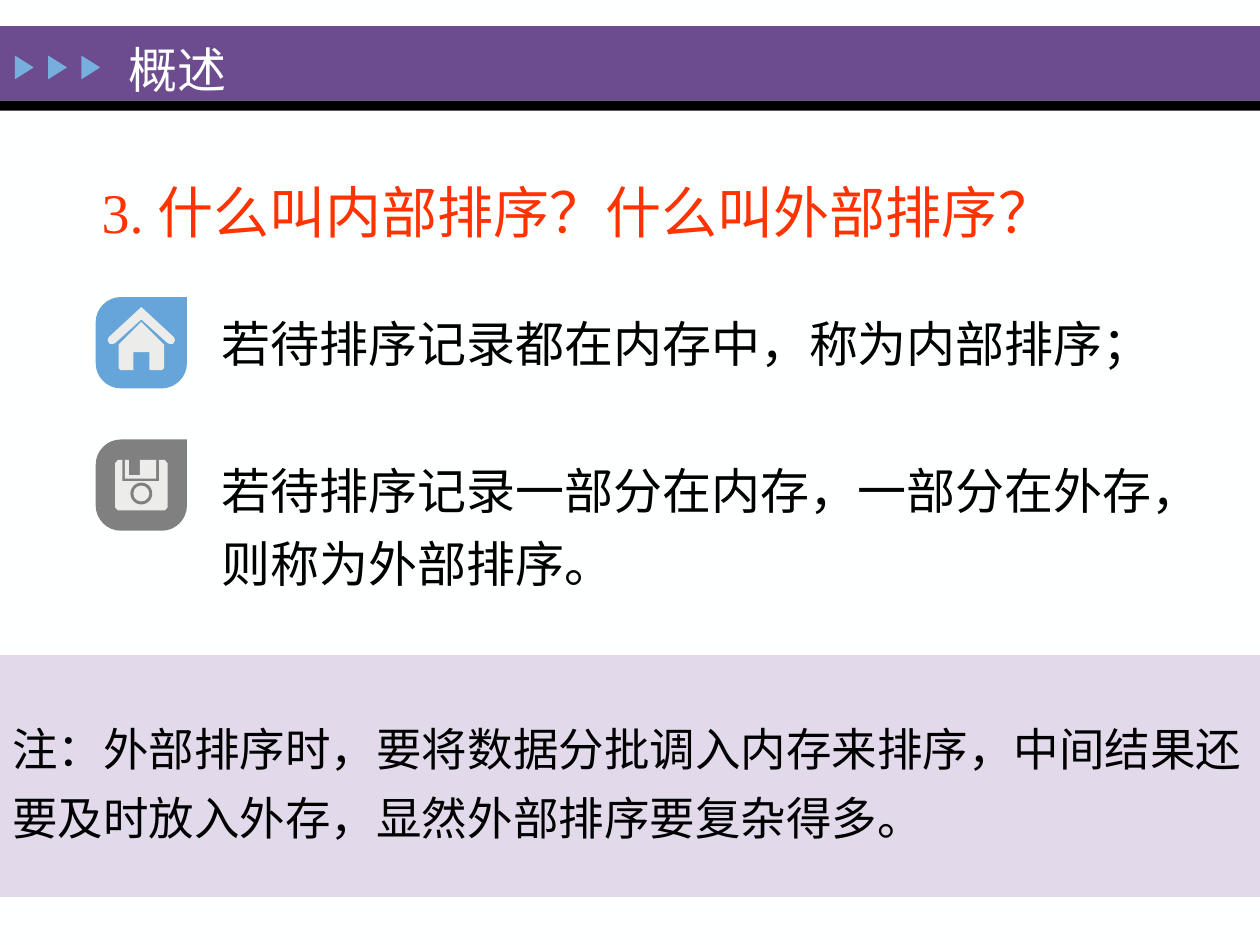
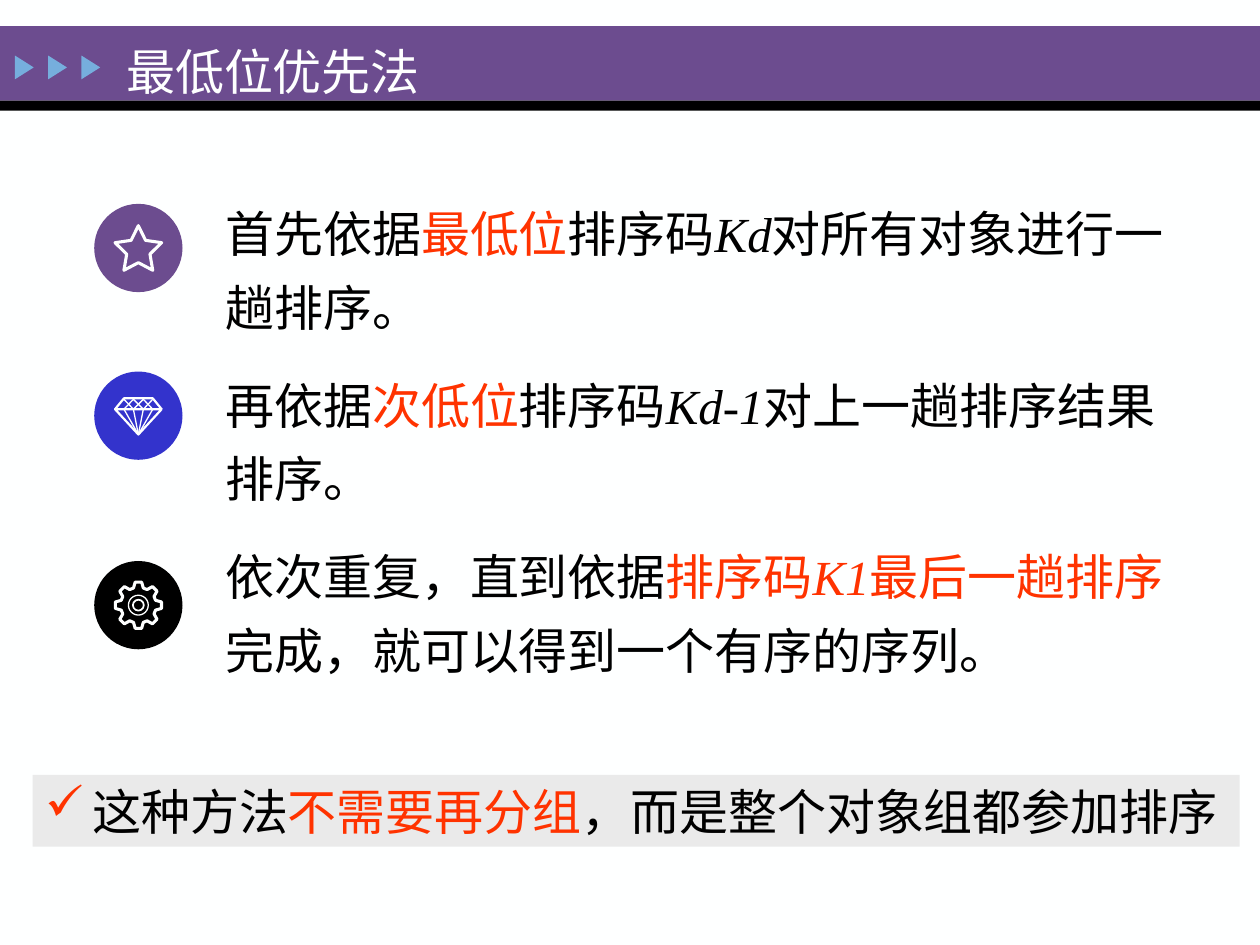
from math import cos, radians, sin

from lxml import etree
from pptx import Presentation
from pptx import util as u
from pptx.dml.color import RGBColor
from pptx.enum import shapes, text
from pptx.oxml.ns import qn

PURPLE = RGBColor(0x6C, 0x4C, 0x8F)
LILAC = RGBColor(0xE2, 0xD9, 0xEB)
SKY = RGBColor(0x76, 0xAE, 0xDD)
BLUE = RGBColor(0x65, 0xA5, 0xD9)
INDIGO = RGBColor(0x33, 0x33, 0xCC)
BLACK = RGBColor(0, 0, 0)
GREY = RGBColor(0x80, 0x80, 0x80)
SILVER = RGBColor(0xEA, 0xEA, 0xEA)
PALE = RGBColor(0xEC, 0xEC, 0xEB)
WHITE = RGBColor(0xFE, 0xFF, 0xFF)
RED = RGBColor(0xFF, 0x33, 0x00)
FONT = "Times New Roman"
WIDTH, HEIGHT = 25.4, 19.05
KIND = shapes.MSO_SHAPE

# Content: a span is (text, colour, italic); all places are in cm
OVERVIEW = {
    "title": ("概述", 2.34, 0.66, 1.0),
    "question": "3. 什么叫内部排序？什么叫外部排序？",
    "box": (4.22, 5.89, 19.94, 6.25),
    "gap": 42,
    "items": [
        [("若待排序记录都在内存中，称为内部排序；", BLACK, False)],
        [("若待排序记录一部分在内存，一部分在外存，则称为外部排序。", BLACK, False)],
    ],
    "note": "注：外部排序时，要将数据分批调入内存来排序，"
            "中间结果还要及时放入外存，显然外部排序要复杂得多。",
}
LOWEST_FIRST = {
    "title": ("最低位优先法", 2.29, 0.41, 1.25),
    "box": (4.29, 3.68, 19.74, 10.44),
    "gap": 14,
    "items": [
        [("首先依据", BLACK, False), ("最低位", RED, False), ("排序码", BLACK, False),
         ("Kd", BLACK, True), ("对所有对象进行一趟排序。", BLACK, False)],
        [("再依据", BLACK, False), ("次低位", RED, False), ("排序码", BLACK, False),
         ("Kd-1", BLACK, True), ("对上一趟排序结果排序。", BLACK, False)],
        [("依次重复，直到依据", BLACK, False), ("排序码", RED, False), ("K1", RED, True),
         ("最后一趟排序", RED, False), ("完成，就可以得到一个有序的序列。", BLACK, False)],
    ],
    "conclusion": [("这种方法", BLACK, False), ("不需要再分组", RED, False),
                   ("，而是整个对象组都参加排序", BLACK, False)],
}

# Icon outlines, relative to the icon centre; symmetric ones give the right half
ROOF = [(0, -0.72), (0.66, -0.11), (0.68, -0.05), (0.64, 0.02), (0.58, 0.03), (0.52, 0), (0, -0.47)]
HOUSE = [(0, -0.42), (0.46, 0.04), (0.46, 0.51), (0.42, 0.55), (0.16, 0.55), (0.16, 0.19)]
DISK = [(-0.38, -0.51), (-0.38, -0.08), (0.36, -0.08), (0.36, -0.51), (0.47, -0.51), (0.53, -0.44),
        (0.53, 0.45), (0.47, 0.51), (-0.47, 0.51), (-0.53, 0.45), (-0.53, -0.44), (-0.47, -0.51)]
DISK_LABEL = [(-0.25, -0.51), (-0.25, -0.2), (-0.03, -0.2), (-0.03, -0.51),
              (0.3, -0.51), (0.3, -0.13), (-0.33, -0.13), (-0.33, -0.51)]
GEM_EDGE = [(-0.47, -0.13), (-0.29, -0.35), (0.29, -0.35), (0.47, -0.13), (0, 0.38),
            (-0.47, -0.13), (0.47, -0.13)]
GEM_ZIGZAG = [(-0.29, -0.13), (-0.1, -0.33), (0.1, -0.13), (0.29, -0.33)]
GEM_TIP = (0, 0.38)


def mirror(points):
    return [(-x, y) for x, y in reversed(points)]


def arc(cx, cy, radius, start, end, steps=8):
    angles = [radians(start + (end - start) * i / steps) for i in range(steps + 1)]
    return [(cx + radius * cos(a), cy + radius * sin(a)) for a in angles]


# Drawing helpers
def paint(shape, fill=None, line=None, width=1):
    shape.shadow.inherit = False
    if fill is None:
        shape.fill.background()
    else:
        shape.fill.solid()
        shape.fill.fore_color.rgb = fill
    if line is None:
        shape.line.fill.background()
    else:
        shape.line.color.rgb = line
        shape.line.width = u.Pt(width)
    return shape


def add_preset(page, kind, box, fill=None, line=None, width=1):
    shape = page.shapes.add_shape(kind, *map(u.Cm, box))
    return paint(shape, fill, line, width)


def add_disc(page, x, y, radius, fill=None, line=None, width=1):
    box = (x - radius, y - radius, 2 * radius, 2 * radius)
    return add_preset(page, KIND.OVAL, box, fill, line, width)


def add_outline(page, centre, contours, fill=None, line=None, width=1):
    placed = [[(u.Cm(centre[0] + x), u.Cm(centre[1] + y)) for x, y in contour]
              for contour in contours]
    builder = page.shapes.build_freeform(*placed[0][0], scale=1.0)
    for number, contour in enumerate(placed):
        if number:
            builder.move_to(*contour[0])
        builder.add_line_segments(contour[1:], close=fill is not None)
    return paint(builder.convert_to_shape(), fill, line, width)


# Text helpers
def set_frame(shape, anchor):
    frame = shape.text_frame
    frame.word_wrap = True
    frame.auto_size = text.MSO_AUTO_SIZE.NONE
    frame.vertical_anchor = anchor
    return frame


def set_bullet(para, char=None, colour=None, indent=0):
    props = para._p.get_or_add_pPr()
    props.set("marL", str(u.Cm(indent)))
    props.set("indent", str(-u.Cm(indent)))
    if char is None:
        etree.SubElement(props, qn("a:buNone"))
        return
    tint = etree.SubElement(props, qn("a:buClr"))
    etree.SubElement(tint, qn("a:srgbClr")).set("val", str(colour))
    etree.SubElement(props, qn("a:buChar")).set("char", char)


def style(para, size, colour=None, spacing=1.0, before=0):
    para.alignment = text.PP_ALIGN.LEFT
    para.line_spacing = spacing
    para.space_before = u.Pt(before)
    para.font.name = FONT
    para.font.size = u.Pt(size)
    if colour is not None:
        para.font.color.rgb = colour


def add_spans(para, spans):
    for words, colour, italic in spans:
        span = para.add_run()
        span.text = words
        span.font.color.rgb = colour
        span.font.italic = italic


def place(shape, box):
    shape.left, shape.top, shape.width, shape.height = map(u.Cm, box)


# Shared page: bands, arrows, title and list
def add_page(deck, content):
    page = deck.slides.add_slide(deck.slide_layouts[1])
    title, body = page.shapes.title, page.placeholders[1]
    add_preset(page, KIND.RECTANGLE, (0, 0.53, WIDTH, 1.5), PURPLE)
    add_preset(page, KIND.RECTANGLE, (0, 2.03, WIDTH, 0.2), BLACK)
    for number in range(3):
        arrow = add_preset(page, KIND.ISOSCELES_TRIANGLE,
                           (0.25 + 0.67 * number, 1.17, 0.48, 0.38), SKY)
        arrow.rotation = 90
    for holder in (title, body):  # lift the placeholders above the bands
        page.shapes.element.append(holder.element)

    words, left, top, spacing = content["title"]
    place(title, (left, top, 17.78, 1.6))
    para = set_frame(title, text.MSO_ANCHOR.TOP).paragraphs[0]
    para.text = words
    style(para, 28, WHITE, spacing)

    place(body, content["box"])
    frame = set_frame(body, text.MSO_ANCHOR.TOP)
    for number, spans in enumerate(content["items"]):
        para = frame.add_paragraph() if number else frame.paragraphs[0]
        set_bullet(para)
        style(para, 28, spacing=1.25, before=content["gap"] if number else 0)
        add_spans(para, spans)
    return page


# Icons
def add_badge(page, centre, fill):
    half, radius = 0.92, 0.51
    inner = half - radius
    corners = [(inner, inner, 0), (-inner, inner, 90), (-inner, -inner, 180)]
    outline = [(half, -half)]
    for x, y, start in corners:
        outline += arc(x, y, radius, start, start + 90)
    add_outline(page, centre, [outline], fill)


def add_home_icon(page, centre):
    add_badge(page, centre, BLUE)
    for half in (ROOF, HOUSE):
        add_outline(page, centre, [half + mirror(half)], PALE)


def add_disk_icon(page, centre):
    add_badge(page, centre, GREY)
    for outline in (DISK_LABEL, DISK):
        add_outline(page, centre, [outline], PALE)
    for radius, fill in ((0.22, GREY), (0.16, PALE)):
        add_disc(page, centre[0], centre[1] + 0.17, radius, fill)


def add_star_icon(page, centre):
    x, y = centre
    add_disc(page, x, y, 0.89, PURPLE)
    star = add_preset(page, KIND.STAR_5_POINT, (x - 0.47, y - 0.45, 0.94, 0.9), None, WHITE, 1.75)
    star.adjustments[0] = 0.25


def add_gem_icon(page, centre):
    add_disc(page, *centre, 0.89, INDIGO)
    add_outline(page, centre, [GEM_EDGE], None, WHITE, 1.25)
    rays = [[(x, -0.13), GEM_TIP] for x in (-0.29, -0.1, 0.1, 0.29)]
    add_outline(page, centre, [GEM_ZIGZAG, mirror(GEM_ZIGZAG)] + rays, None, WHITE, 0.75)


def add_gear_icon(page, centre):
    add_disc(page, *centre, 0.89, BLACK)
    teeth = []
    for middle in range(0, 360, 45):
        for turn, radius in ((-16, 0.36), (-8, 0.47), (8, 0.47), (16, 0.36)):
            angle = radians(middle + turn)
            teeth.append((radius * cos(angle), radius * sin(angle)))
    add_outline(page, centre, [teeth + teeth[:1]], None, WHITE, 1.75)
    for radius, width in ((0.2, 0.75), (0.11, 1)):
        add_disc(page, *centre, radius, None, WHITE, width)


def build_overview(deck):
    page = add_page(deck, OVERVIEW)
    question = page.shapes.add_textbox(*map(u.Cm, (1.8, 3.35, 21.59, 1.83)))
    para = set_frame(question, text.MSO_ANCHOR.MIDDLE).paragraphs[0]
    para.text = OVERVIEW["question"]
    style(para, 32, RED)

    note = add_preset(page, KIND.RECTANGLE, (0, 13.21, WIDTH, 4.87), LILAC)
    para = set_frame(note, text.MSO_ANCHOR.MIDDLE).paragraphs[0]
    para.text = OVERVIEW["note"]
    style(para, 26, BLACK, 1.25)

    add_home_icon(page, (2.85, 6.91))
    add_disk_icon(page, (2.85, 9.78))


def build_lowest_first(deck):
    page = add_page(deck, LOWEST_FIRST)
    strip = add_preset(page, KIND.RECTANGLE, (0.66, 15.62, 24.33, 1.45), SILVER)
    para = set_frame(strip, text.MSO_ANCHOR.MIDDLE).paragraphs[0]
    set_bullet(para, "✓", RED, 0.95)
    style(para, 28)
    add_spans(para, LOWEST_FIRST["conclusion"])

    icons = ((add_star_icon, 5.0), (add_gem_icon, 8.38), (add_gear_icon, 12.2))
    for add_icon, y in icons:
        add_icon(page, (2.79, y))


def main():
    deck = Presentation()
    deck.slide_width, deck.slide_height = u.Cm(WIDTH), u.Cm(HEIGHT)
    backdrop = deck.slide_master.background.fill
    backdrop.solid()
    backdrop.fore_color.rgb = WHITE
    build_overview(deck)
    build_lowest_first(deck)
    deck.save("out.pptx")


if __name__ == "__main__":
    main()
